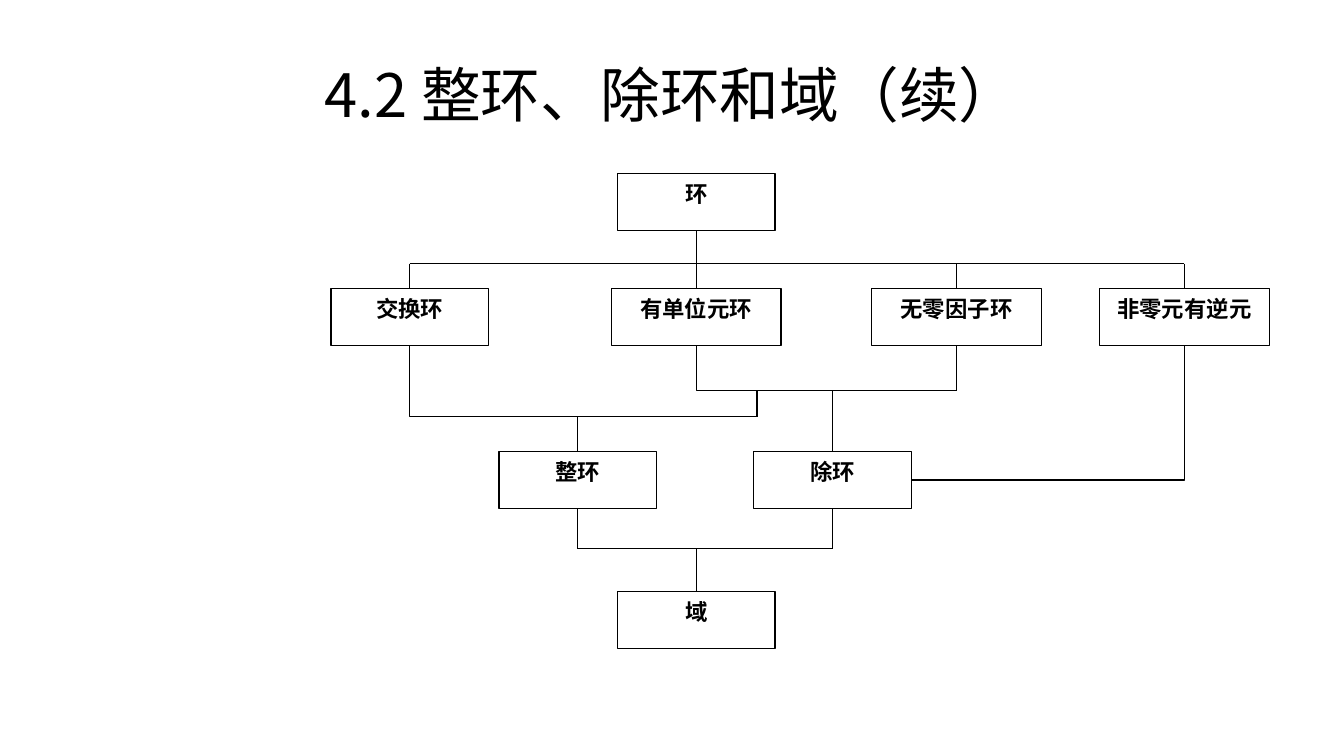
from pptx import Presentation
from pptx.dml.color import RGBColor
from pptx.enum import shapes, text
from pptx.oxml.ns import qn
from pptx.util import Pt

BOX_H = 30.5
NARROW, WIDE = 84.5, 91
# Top edges of the four levels of boxes
ROOT_Y, KIND_Y, RING_Y, FIELD_Y = 93, 154.5, 242, 317
# Heights of the horizontal joining lines
KIND_BUS, UNIT_BUS, DOMAIN_BUS, FIELD_BUS = 141.25, 209.25, 223.25, 294
# Column centres
MID, COMMUTATIVE, NO_ZERO_DIV, INVERSE = 373, 219.5, 512.5, 634.5
DOMAIN, DIVISION = 309.5, 446


def color(hex_string):
    return RGBColor.from_string(hex_string)


def write(sp, words, size, font, bold=False):
    tf = sp.text_frame
    tf.word_wrap = True
    tf.text = words
    p = tf.paragraphs[0]
    p.alignment = text.PP_ALIGN.CENTER
    r = p.runs[0]
    r.font.size = Pt(size)
    r.font.name = font
    r.font.bold = bold
    r.font.color.rgb = color("000000")
    ea = r.font._element.makeelement(qn("a:ea"), {"typeface": "Noto Sans CJK SC"})
    r.font._element.find(qn("a:latin")).addnext(ea)
    return tf


def add_title(s, x, y, w, h):
    sp = s.shapes.add_textbox(Pt(x), Pt(y), Pt(w), Pt(h))
    tf = write(sp, "4.2 整环、除环和域（续）", 32, "Noto Sans CJK SC")
    tf.vertical_anchor = text.MSO_ANCHOR.MIDDLE


def add_node(s, words, center, y, w=NARROW):
    sp = s.shapes.add_shape(shapes.MSO_SHAPE.RECTANGLE,
                            Pt(center - w / 2), Pt(y), Pt(w), Pt(BOX_H))
    sp.shadow.inherit = False
    sp.fill.solid()
    sp.fill.fore_color.rgb = color("FFFFFF")
    sp.line.color.rgb = color("000000")
    sp.line.width = Pt(0.75)
    tf = write(sp, words, 12, "Calibri", bold=True)
    tf.vertical_anchor = text.MSO_ANCHOR.TOP


def add_line(s, x1, y1, x2, y2, bent=False):
    """Draw a line; a bent one runs across first, then up or down."""
    kind = shapes.MSO_CONNECTOR.ELBOW if bent else shapes.MSO_CONNECTOR.STRAIGHT
    c = s.shapes.add_connector(kind, Pt(x1), Pt(y1), Pt(x2), Pt(y2))
    c.line.color.rgb = color("000000")
    c.line.width = Pt(0.75)
    props = c._element.spPr
    if bent:
        props.find(qn("a:prstGeom")).set("prst", "bentConnector2")
    props.append(props.makeelement(qn("a:effectLst"), {}))


def add_hierarchy(s, x, y):
    """Place the ring hierarchy, shifted by x and y."""
    nodes = [
        ("环", MID, ROOT_Y, NARROW),
        ("交换环", COMMUTATIVE, KIND_Y, NARROW),
        ("有单位元环", MID, KIND_Y, WIDE),
        ("无零因子环", NO_ZERO_DIV, KIND_Y, WIDE),
        ("非零元有逆元", INVERSE, KIND_Y, WIDE),
        ("整环", DOMAIN, RING_Y, NARROW),
        ("除环", DIVISION, RING_Y, NARROW),
        ("域", MID, FIELD_Y, NARROW),
    ]
    kind_end, ring_end = KIND_Y + BOX_H, RING_Y + BOX_H
    domain_joint = 405.5
    straight = [
        # Ring to its four kinds
        (MID, ROOT_Y + BOX_H, MID, KIND_BUS),
        (COMMUTATIVE, KIND_BUS, INVERSE, KIND_BUS),
        *[(cx, KIND_BUS, cx, KIND_Y)
          for cx in (COMMUTATIVE, MID, NO_ZERO_DIV, INVERSE)],
        # Kinds to integral domain and division ring
        (NO_ZERO_DIV, kind_end, NO_ZERO_DIV, UNIT_BUS),
        (domain_joint, UNIT_BUS, domain_joint, DOMAIN_BUS),
        (DOMAIN, DOMAIN_BUS, DOMAIN, RING_Y),
        (DIVISION, UNIT_BUS, DIVISION, RING_Y),
        # Both to field
        (DOMAIN, ring_end, DOMAIN, FIELD_BUS),
        (DIVISION, ring_end, DIVISION, FIELD_BUS),
        (DOMAIN, FIELD_BUS, DIVISION, FIELD_BUS),
        (MID, FIELD_BUS, MID, FIELD_Y),
    ]
    bent = [
        (domain_joint, DOMAIN_BUS, COMMUTATIVE, kind_end),
        (NO_ZERO_DIV, UNIT_BUS, MID, kind_end),
        (DIVISION + NARROW / 2, RING_Y + BOX_H / 2, INVERSE, kind_end),
    ]
    for words, center, top, w in nodes:
        add_node(s, words, x + center, y + top, w)
    for lines, is_bent in ((straight, False), (bent, True)):
        for x1, y1, x2, y2 in lines:
            add_line(s, x + x1, y + y1, x + x2, y + y2, is_bent)


def main():
    prs = Presentation()
    prs.slide_width, prs.slide_height = Pt(720), Pt(405)
    s = prs.slides.add_slide(prs.slide_layouts[6])
    add_title(s, 36, 16.5, 648, 67.5)
    add_hierarchy(s, 0, 0)
    prs.save("out.pptx")


if __name__ == "__main__":
    main()
